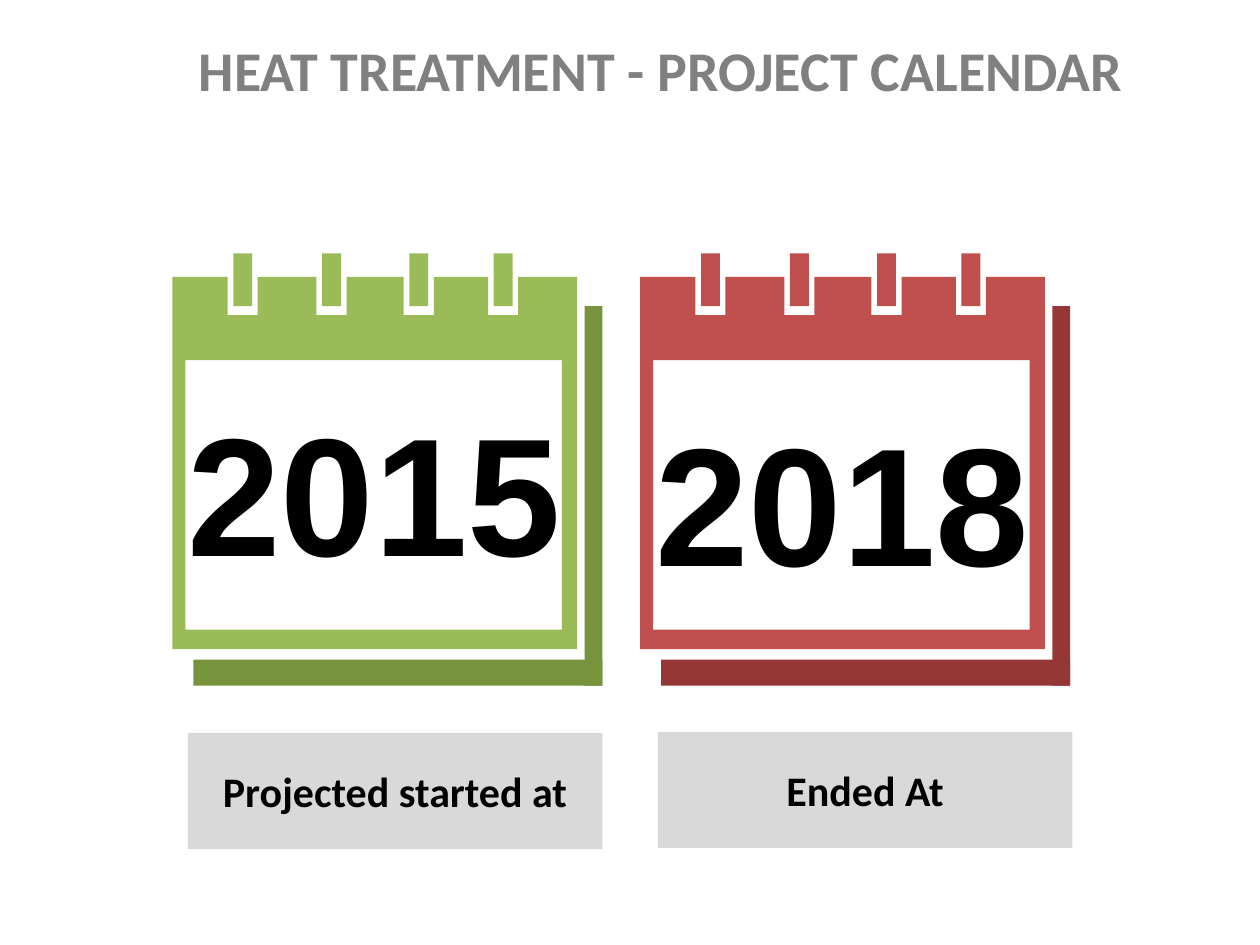
from pptx import Presentation
from pptx.dml.color import RGBColor
from pptx.enum.shapes import MSO_SHAPE
from pptx.enum.text import MSO_ANCHOR, PP_ALIGN
from pptx.util import Pt


def paint(sp, color):
    sp.fill.solid()
    sp.fill.fore_color.rgb = RGBColor.from_string(color)
    sp.line.fill.background()
    sp.shadow.inherit = False


def write(sp, text, font, size, color, align):
    tf = sp.text_frame
    tf.text = text
    p = tf.paragraphs[0]
    p.alignment = align
    f = p.runs[0].font
    f.name, f.size, f.bold = font, Pt(size), True
    f.color.rgb = RGBColor.from_string(color)


prs = Presentation()
prs.slide_width, prs.slide_height = Pt(720), Pt(540)
s = prs.slides.add_slide(prs.slide_layouts[5])

# Title
title = s.shapes.title
title.left, title.top, title.width, title.height = Pt(62.6), Pt(16.6), Pt(630), Pt(66.2)
write(title, "HEAT TREATMENT - PROJECT CALENDAR", "Calibri", 32, "808080", PP_ALIGN.CENTER)
title.text_frame.vertical_anchor = MSO_ANCHOR.TOP

# Calendars: left, colour, shadow colour, year, year top, label, label left, label top
calendars = [
    (98.5, "9BBB59", "77933C", "2015", 218.2, "Projected started at", 107.3, 419),
    (365.8, "C0504D", "953735", "2018", 224.2, "Ended At", 375.9, 418.4),
]
rings = [34.8, 85.6, 135.4, 183.6]
ring_w, gap = 10.8, 3.2
top, notch_bottom, bottom = 158.2, 180, 371

for left, color, dark, year, year_top, label, label_left, label_top in calendars:
    # Frame with notches along the top and an open window
    outline = [(0, top)]
    for x in rings:
        x1, x2 = x - gap, x + ring_w + gap
        outline += [(x1, top), (x1, notch_bottom), (x2, notch_bottom), (x2, top)]
    outline += [(231.3, top), (231.3, bottom), (0, bottom)]
    window = [(7.5, 205.8), (7.5, 359.8), (222.6, 359.8), (222.6, 205.8)]
    outline, window = [[(Pt(left + x), Pt(y)) for x, y in pts] for pts in (outline, window)]
    fb = s.shapes.build_freeform(*window[0])
    fb.add_line_segments(window[1:], close=True)
    fb.move_to(*outline[0])
    fb.add_line_segments(outline[1:], close=True)
    paint(fb.convert_to_shape(), color)

    # Rings, then the bottom and right edges of the page behind
    bars = [(x, 144.8, ring_w, 30.2, color) for x in rings]
    bars += [(12, 377, 233.8, 14.8, dark), (235.6, 175, 10.2, 216.8, dark)]
    for x, y, w, h, fill in bars:
        sp = s.shapes.add_shape(MSO_SHAPE.RECTANGLE, Pt(left + x), Pt(y), Pt(w), Pt(h))
        paint(sp, fill)

    # Year
    tb = s.shapes.add_textbox(Pt(left + 1.6), Pt(year_top), Pt(230.4), Pt(123.8))
    tb.text_frame.word_wrap = False
    write(tb, year, "Arial", 96, "000000", PP_ALIGN.LEFT)

    # Label
    sp = s.shapes.add_shape(MSO_SHAPE.RECTANGLE, Pt(label_left), Pt(label_top), Pt(236.9), Pt(66.2))
    paint(sp, "D9D9D9")
    write(sp, label, "Calibri", 24, "000000", PP_ALIGN.CENTER)
    sp.text_frame.vertical_anchor = MSO_ANCHOR.MIDDLE

prs.save("out.pptx")
